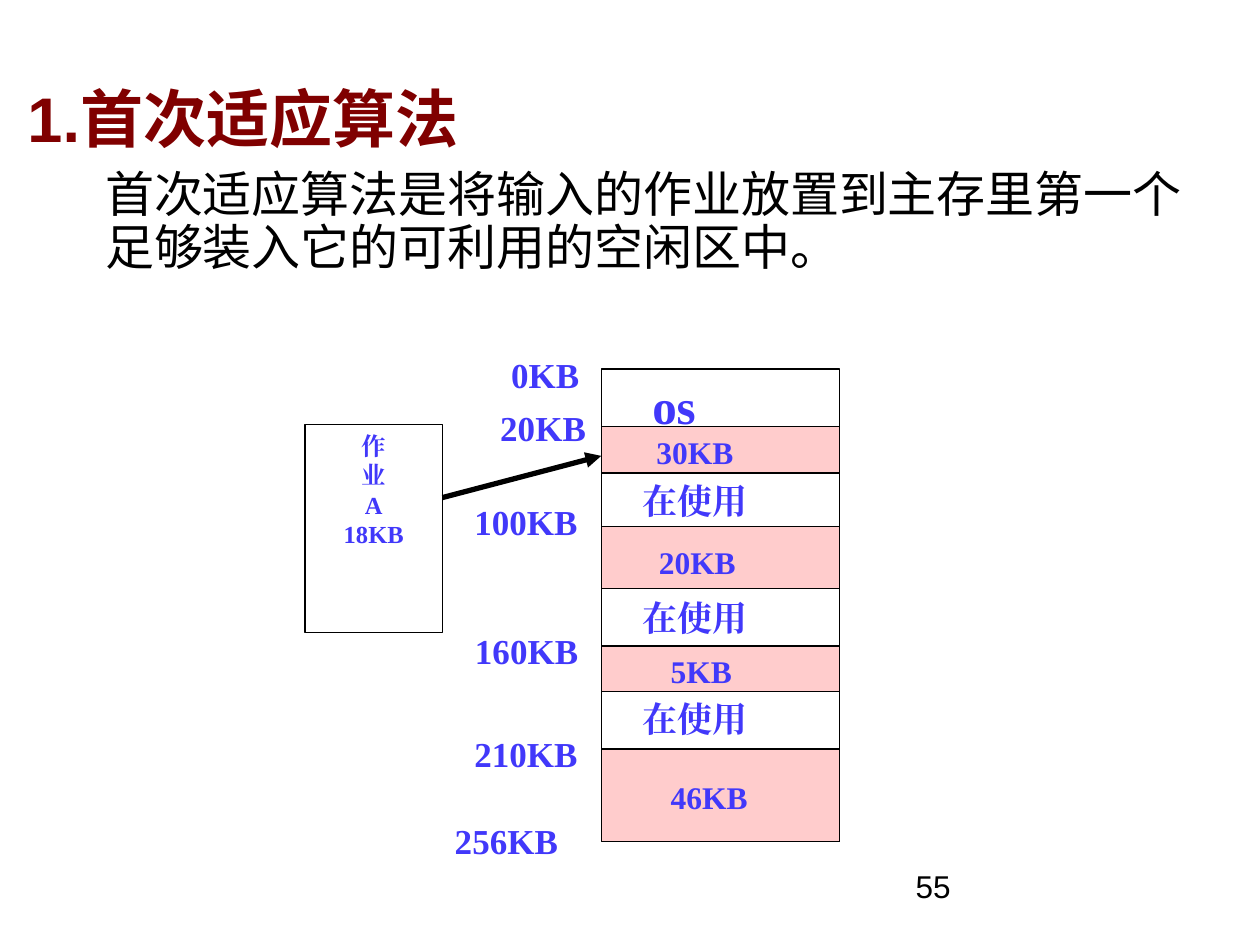
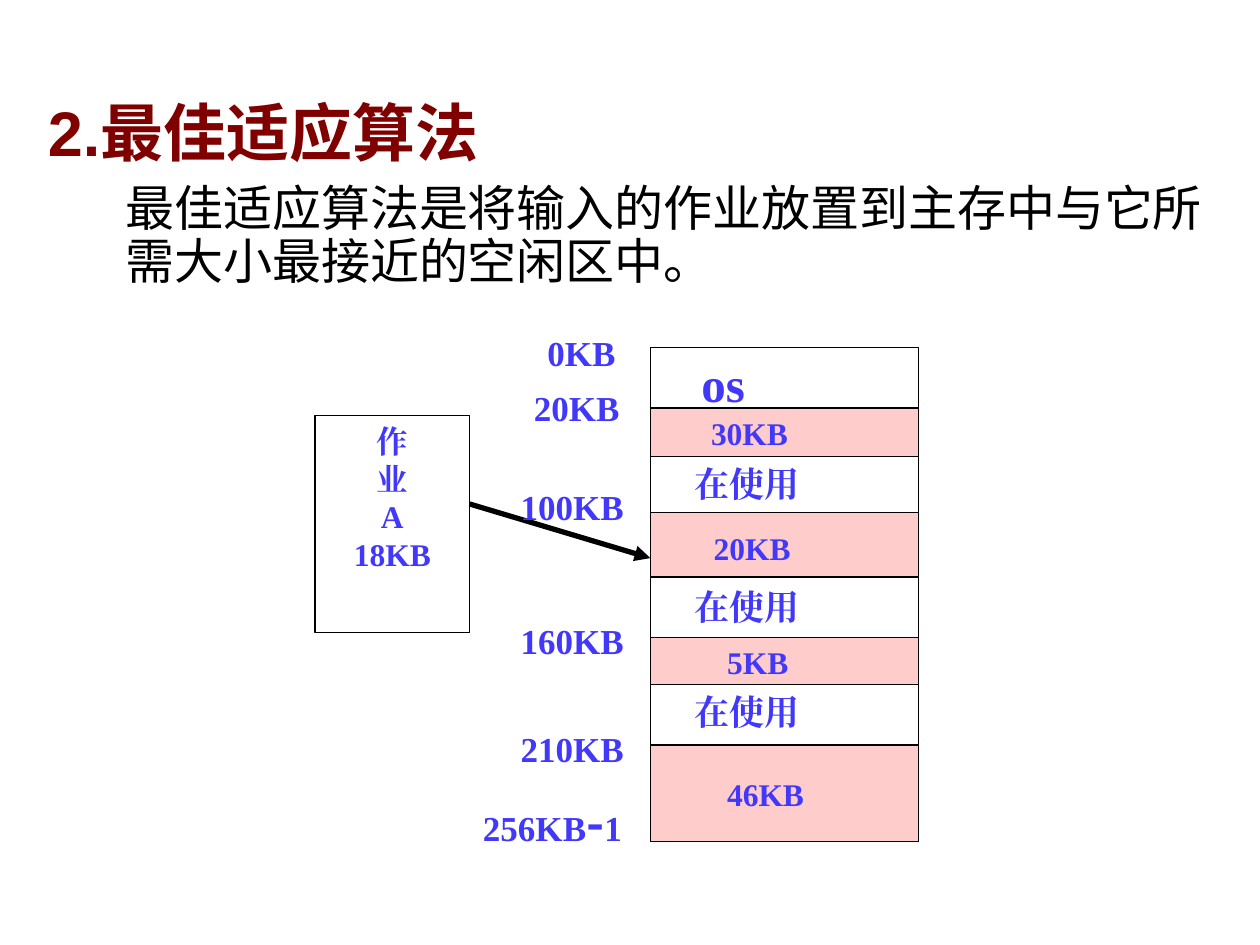
import pptx
import pptx.util
import pptx.dml.color
import pptx.enum.shapes
import pptx.enum.text
import pptx.oxml
import pptx.oxml.ns
from dataclasses import dataclass

Cm, Pt = pptx.util.Cm, pptx.util.Pt


# Theme
@dataclass(frozen=True)
class Theme:
    heading: str = "800000"
    ink: str = "000000"
    label: str = "4138FA"
    paper: str = "FFFFFF"
    free: str = "FFCCCC"
    sans: str = "Arial"
    serif: str = "Times New Roman"
    symbol: str = "Noto Sans CJK SC"
    title_size: int = 36
    body_size: int = 28
    address_size: int = 20
    small_size: int = 18
    hairline: float = 0.75
    arrow_width: float = 3


THEME = Theme()

# Memory map, in percent of the column: top, bottom, text, text left, text drop
FREE_AREAS = [
    (12.2, 22, "30KB", 18, 0),
    (33.3, 46.4, "20KB", 19, 2.1),
    (58.6, 68.2, "5KB", 24, 0),
    (80.4, 100, "46KB", 24, 4.8),
]
USED_TOPS = [22, 46.8, 68.2]
USED_TEXT = "在使用"

# Addresses: text, top and width in percent of the column
ADDRESSES = [
    ("0KB", -4.5, 52.5),
    ("20KB", 6.6, 56),
    ("100KB", 26.6, 67),
    ("160KB", 53.8, 67),
    ("210KB", 75.6, 67),
]
END_WIDTH = 86
JOB_LINES = ["作", "业", "A", "18KB"]

# Slides: boxes are left, top, width, height in cm; address_lefts are percent
SLIDES = [
    {
        "title": "1.首次适应算法",
        "description": "首次适应算法是将输入的作业放置到主存里第一个足够装入它的可利用的空闲区中。",
        "heading": (0.3, 1.65, 24.61),
        "column": (12.12, 7.44, 4.8, 9.53),
        "job": (6.15, 8.56, 2.77, 4.19),
        "job_size": 14,
        "arrow": (10.03, 9.19),
        "address_lefts": (-43, -47.6, -58.5, -58.2, -58.5, -66.7),
        "end": (["256KB"], 93.9),
        "number": "55",
    },
    {
        "title": "2.最佳适应算法",
        "description": "最佳适应算法是将输入的作业放置到主存中与它所需大小最接近的空闲区中。",
        "heading": (0.71, 1.93, 24.26),
        "column": (13.11, 7.01, 5.41, 9.96),
        "job": (6.35, 8.38, 3.12, 4.37),
        "job_size": 18,
        "arrow": (10.16, 11.25),
        "address_lefts": (-43, -48, -53, -53, -53, -67),
        "end": (["256KB", "-", "1"], 88.8),
        "number": None,
    },
]
TITLE_HEIGHT = 1.65
DESCRIPTION_INDENT = 1.57
NUMBER_BOX = (18.21, 17.35, 5.28, 1.27)
LINE_HEIGHT = 1.1


def color(value):
    return pptx.dml.color.RGBColor.from_string(value)


def format_run(run, size, ink, face, bold):
    run.font.size = Pt(size)
    run.font.bold = bold
    run.font.color.rgb = color(ink)
    run.font.name = face
    east_asian = pptx.oxml.parse_xml(
        f'<a:ea {pptx.oxml.ns.nsdecls("a")} typeface="{face}"/>')
    run.font._element.find(pptx.oxml.ns.qn("a:latin")).addnext(east_asian)


def fill_text(shape, text, size, ink=THEME.label, face=THEME.serif, bold=True,
              align=pptx.enum.text.PP_ALIGN.LEFT, spacing=None):
    frame = shape.text_frame
    frame.text = text
    frame.word_wrap = True
    frame.auto_size = pptx.enum.text.MSO_AUTO_SIZE.NONE
    frame.vertical_anchor = pptx.enum.text.MSO_ANCHOR.TOP
    for paragraph in frame.paragraphs:
        paragraph.alignment = align
        paragraph.line_spacing = spacing
        for run in paragraph.runs:
            format_run(run, size, ink, face, bold)


def add_text(slide, box, text, size, **style):
    shape = slide.shapes.add_textbox(*map(Cm, box))
    fill_text(shape, text, size, **style)
    return shape


def add_box(slide, box, fill):
    shape = slide.shapes.add_shape(
        pptx.enum.shapes.MSO_SHAPE.RECTANGLE, *map(Cm, box))
    shape.shadow.inherit = False
    shape.fill.solid()
    shape.fill.fore_color.rgb = color(fill)
    shape.line.color.rgb = color(THEME.ink)
    shape.line.width = Pt(THEME.hairline)
    return shape


def add_arrow(slide, start, end):
    arrow = slide.shapes.add_connector(
        pptx.enum.shapes.MSO_CONNECTOR.STRAIGHT, *map(Cm, start + end))
    arrow.line.color.rgb = color(THEME.ink)
    arrow.line.width = Pt(THEME.arrow_width)
    namespace = pptx.oxml.ns.nsdecls("a")
    arrow.line._get_or_add_ln().append(
        pptx.oxml.parse_xml(f'<a:tailEnd {namespace} type="triangle"/>'))
    arrow._element.spPr.append(
        pptx.oxml.parse_xml(f"<a:effectLst {namespace}/>"))


def add_divider(slide, left, right, y):
    divider = slide.shapes.add_connector(
        pptx.enum.shapes.MSO_CONNECTOR.STRAIGHT, *map(Cm, (left, y, right, y)))
    divider.line.color.rgb = color(THEME.ink)
    divider.line.width = Pt(THEME.hairline)
    divider._element.spPr.append(
        pptx.oxml.parse_xml(f'<a:effectLst {pptx.oxml.ns.nsdecls("a")}/>'))


def add_heading(slide, content):
    left, top, width = content["heading"]
    title = slide.shapes.title
    title.left, title.top, title.width, title.height = map(
        Cm, (left, top, width, TITLE_HEIGHT))
    fill_text(title, content["title"], THEME.title_size, ink=THEME.heading,
              face=THEME.sans, spacing=0.9)
    box = (left + DESCRIPTION_INDENT, top + TITLE_HEIGHT,
           width - DESCRIPTION_INDENT, 2.59)
    add_text(slide, box, content["description"], THEME.body_size,
             ink=THEME.ink, face=THEME.sans, bold=False, spacing=0.9)


def add_memory(slide, content):
    left, top, width, height = content["column"]

    def place(x, y, share):
        return (left + width * x / 100, top + height * y / 100,
                width * share / 100, LINE_HEIGHT)

    # Column and its areas
    column = add_box(slide, content["column"], THEME.paper)
    fill_text(column, "os", THEME.body_size)
    column.text_frame.margin_left = Cm(1.03)
    for start, end, text, text_left, drop in FREE_AREAS:
        area = (left, top + height * start / 100,
                width, height * (end - start) / 100)
        add_box(slide, area, THEME.free)
        for edge in (start, end):
            if edge < 100:
                add_divider(slide, left, left + width, top + height * edge / 100)
        add_text(slide, place(text_left, start + drop, 59), text,
                 THEME.small_size)
    for used_top in USED_TOPS:
        add_text(slide, place(12, used_top, 76), USED_TEXT, THEME.address_size)

    # Addresses beside the column
    *lefts, end_left = content["address_lefts"]
    for (text, address_top, share), x in zip(ADDRESSES, lefts):
        add_text(slide, place(x, address_top, share), text, THEME.address_size)
    end_parts, end_top = content["end"]
    end_label = add_text(slide, place(end_left, end_top, END_WIDTH),
                         end_parts[0], THEME.address_size)
    for part in end_parts[1:]:
        run = end_label.text_frame.paragraphs[0].add_run()
        run.text = part
        if part == "-":
            format_run(run, THEME.body_size, THEME.label, THEME.symbol, True)
        else:
            format_run(run, THEME.address_size, THEME.label, THEME.serif, True)


def add_job(slide, content):
    job = add_box(slide, content["job"], THEME.paper)
    fill_text(job, "\n".join(JOB_LINES), content["job_size"],
              align=pptx.enum.text.PP_ALIGN.CENTER)
    left, _, width, _ = content["job"]
    start_y, end_y = content["arrow"]
    add_arrow(slide, (left + width, start_y), (content["column"][0], end_y))


def main():
    presentation = pptx.Presentation()
    presentation.slide_width, presentation.slide_height = Cm(25.4), Cm(19.05)
    title_only = presentation.slide_layouts[5]
    for content in SLIDES:
        slide = presentation.slides.add_slide(title_only)
        add_heading(slide, content)
        add_job(slide, content)
        add_memory(slide, content)
        if content["number"]:
            add_text(slide, NUMBER_BOX, content["number"], THEME.small_size,
                     ink=THEME.ink, face=THEME.sans, bold=False)
    presentation.save("out.pptx")


if __name__ == "__main__":
    main()
